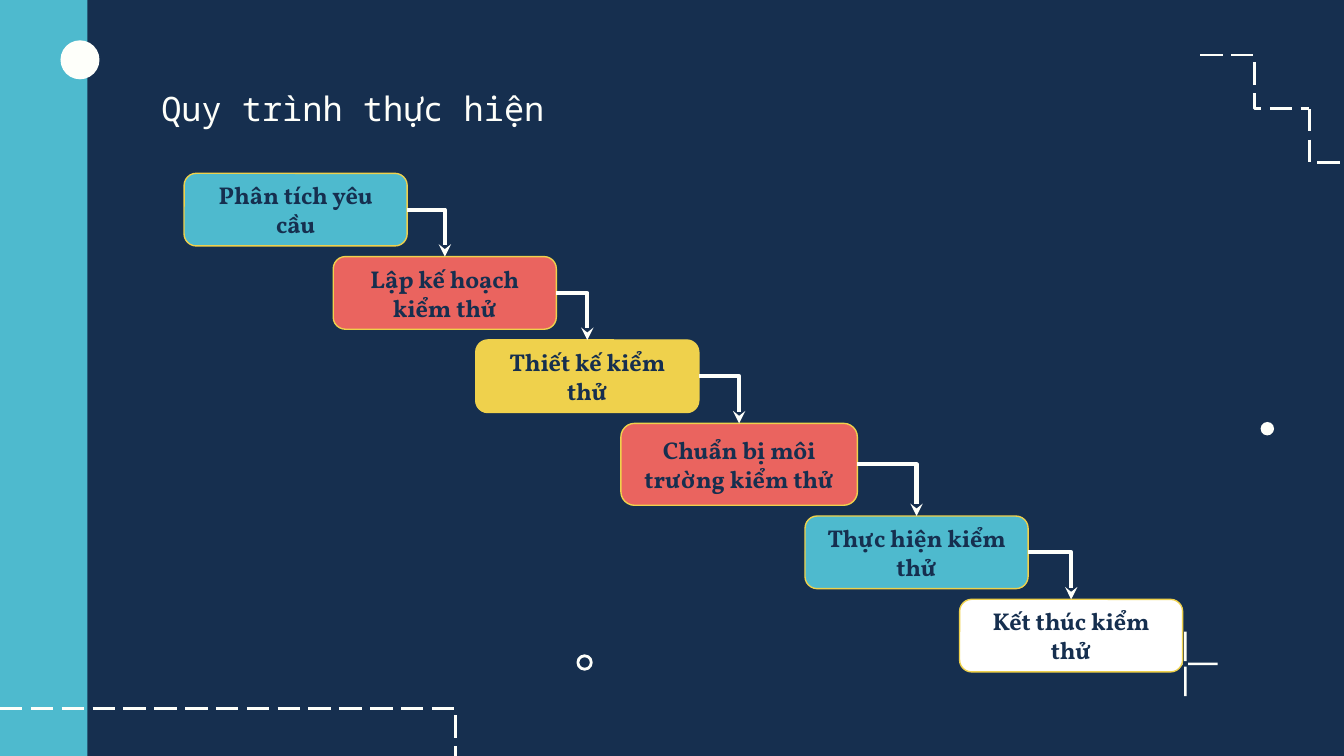
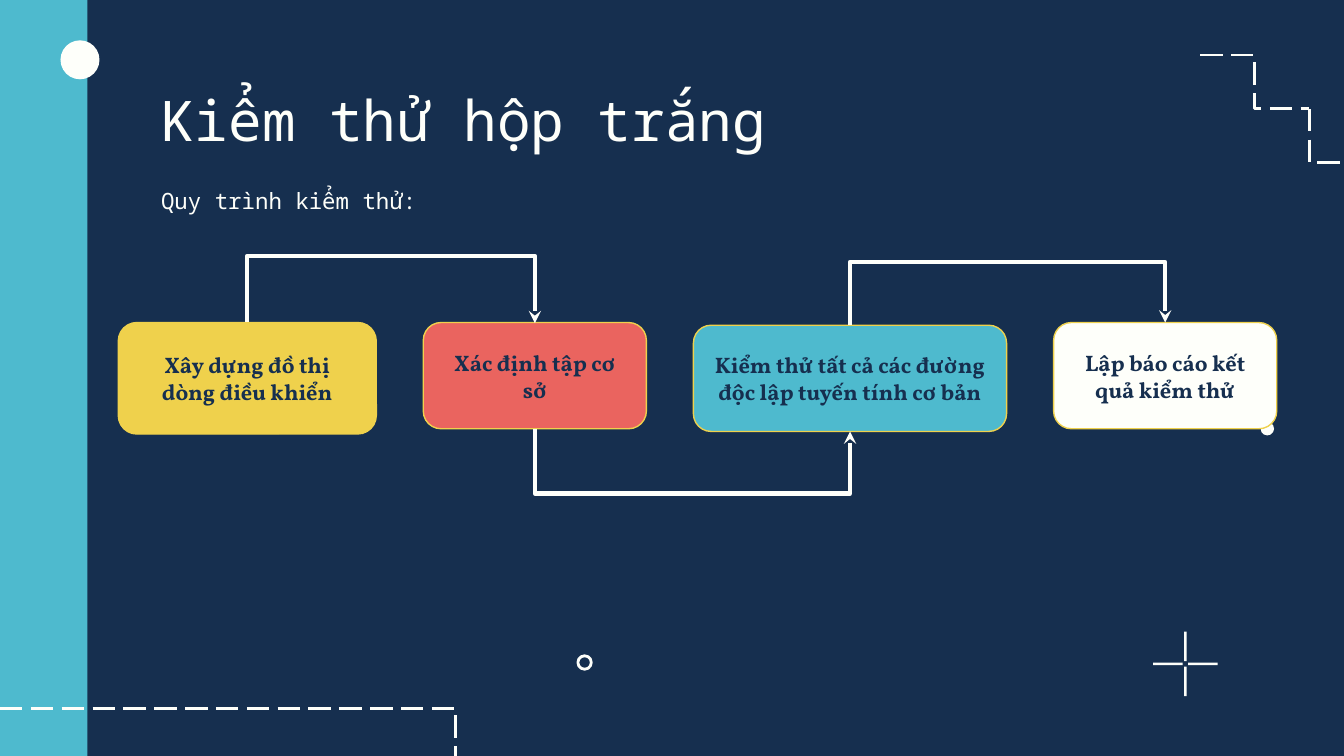
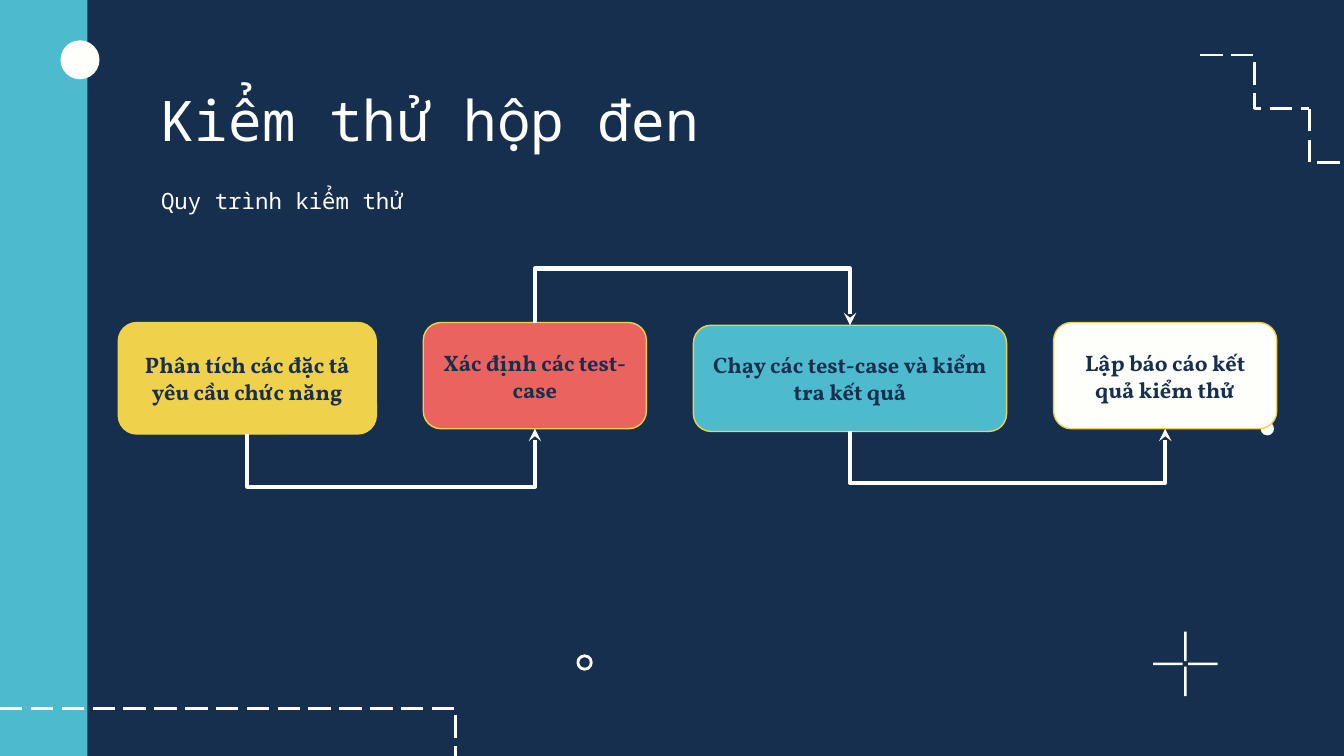
"""Build three slides on the software testing process."""
from itertools import pairwise

from lxml.etree import SubElement
from pptx import Presentation
from pptx.dml.color import RGBColor
from pptx.enum.dml import MSO_LINE_DASH_STYLE as Dash
from pptx.enum.shapes import MSO_CONNECTOR as Connector, MSO_SHAPE as Shape
from pptx.enum.text import MSO_ANCHOR as Anchor, MSO_AUTO_SIZE as AutoSize, PP_ALIGN as Align
from pptx.oxml.ns import qn
from pptx.util import Inches, Pt

COLORS = {
    "navy": "162F4F",
    "teal": "4EBACE",
    "coral": "EA645F",
    "yellow": "EFD14C",
    "cream": "FEFFFA",
    "white": "FFFFFF",
}
WIDTH = 10
HEIGHT = WIDTH * 9 / 16
MARGIN = 0.1
TITLE_FONT, BOX_FONT = "Noto Sans Mono", "Vollkorn"
TITLE_AREA = (1.1, 0.59, 8.12, 0.7)
SUBTITLE_AREA = (1.1, 1.29, 8.12, 0.43)
TOP, BOTTOM, RIGHT = 0, 2, 3

CASCADE_TITLE = "Quy trình thực hiện"
CASCADE_TOP, CASCADE_GAP = 1.29, 0.08
CASCADE_STEPS = [
    ("Phân tích yêu cầu", "teal", 1.37, 1.66, 0.54),
    ("Lập kế hoạch kiểm thử", "coral", 2.48, 1.66, 0.54),
    ("Thiết kế kiểm thử", "yellow", 3.54, 1.66, 0.54),
    ("Chuẩn bị môi trường kiểm thử", "coral", 4.62, 1.76, 0.61),
    ("Thực hiện kiểm thử", "teal", 5.99, 1.66, 0.54),
    ("Kết thúc kiểm thử", "white", 7.14, 1.66, 0.54),
]

ROW_LEFT, ROW_GAP = 0.88, 0.35
ROW_BOXES = [
    ("yellow", 2.4, 1.92, 0.83),
    ("coral", 2.4, 1.66, 0.79),
    ("teal", 2.42, 2.33, 0.79),
    ("cream", 2.4, 1.66, 0.79),
]
ROW_SLIDES = [
    {
        "title": "Kiểm thử hộp trắng",
        "subtitle": "Quy trình kiểm thử:",
        "steps": [
            "Xây dựng đồ thị dòng điều khiển",
            "Xác định tập cơ sở",
            "Kiểm thử tất cả các đường độc lập tuyến tính cơ bản",
            "Lập báo cáo kết quả kiểm thử",
        ],
        "arrows": [(TOP, 1.9), (BOTTOM, 3.67), (TOP, 1.95)],
    },
    {
        "title": "Kiểm thử hộp đen",
        "subtitle": "Quy trình kiểm thử",
        "steps": [
            "Phân tích các đặc tả yêu cầu chức năng",
            "Xác định các test-case",
            "Chạy các test-case và kiểm tra kết quả",
            "Lập báo cáo kết quả kiểm thử",
        ],
        "arrows": [(BOTTOM, 3.62), (TOP, 2), (BOTTOM, 3.59)],
    },
]
ROW_SLIDES[0]["arrows"][0] = (TOP, 1.9)

DOTS = [(0.45, 0.3, 0.29), (9.38, 3.14, 0.1)]
RING = (4.3, 4.88, 0.1, 0.1)
CROSS_CENTER, CROSS_REACH, CROSS_BAR, CROSS_THICK = (8.82, 4.94), 0.24, 0.22, 0.02


def color(name):
    return RGBColor.from_string(COLORS[name])


def lengths(*values):
    return [Inches(value) for value in values]


def add_figure(slide, kind, area, fill=None, line=None, weight=0.75):
    shape = slide.shapes.add_shape(kind, *lengths(*area))
    shape.shadow.inherit = False
    if fill:
        shape.fill.solid()
        shape.fill.fore_color.rgb = color(fill)
    else:
        shape.fill.background()
    if line:
        shape.line.color.rgb = color(line)
        shape.line.width = Pt(weight)
    else:
        shape.line.fill.background()
    return shape


def write(shape, text, font, anchor=Anchor.TOP, align=Align.LEFT, spacing=1.0):
    frame = shape.text_frame
    frame.text = text
    layout = {"word_wrap": True, "auto_size": AutoSize.NONE, "vertical_anchor": anchor}
    layout |= {f"margin_{side}": Inches(MARGIN) for side in ("left", "top", "right", "bottom")}
    for name, value in layout.items():
        setattr(frame, name, value)
    paragraph = frame.paragraphs[0]
    paragraph.alignment, paragraph.line_spacing = align, spacing
    run_font = paragraph.runs[0].font
    for name, value in font.items():
        if name == "color":
            run_font.color.rgb = color(value)
        else:
            setattr(run_font, name, value)


def heading_font(size):
    return {"name": TITLE_FONT, "size": Pt(size), "color": "cream", "bold": False}


def add_box(slide, text, fill, area, size):
    box = add_figure(slide, Shape.ROUNDED_RECTANGLE, area, fill, "yellow")
    font = {"name": BOX_FONT, "size": Pt(size), "color": "navy", "bold": True}
    write(box, text, font, Anchor.MIDDLE, Align.CENTER)
    return box


def add_elbow(slide, start, end, preset="bentConnector3", level=None, ends=None):
    """Draw an elbow; a level makes it leave vertically and turn at that height."""
    (x1, y1), (x2, y2) = start, end
    connector = slide.shapes.add_connector(Connector.ELBOW, *lengths(x1, y1, x2, y2))
    properties = connector._element.spPr
    geometry = properties.find(qn("a:prstGeom"))
    geometry.set("prst", preset)
    connector.line.color.rgb = color("cream")
    if ends:
        (first, first_site), (last, last_site) = ends
        connector.begin_connect(first, first_site)
        connector.end_connect(last, last_site)
        connector.line.width = Pt(2.25)
        SubElement(properties.find(qn("a:ln")), qn("a:tailEnd"), type="stealth")
    else:
        connector.line.width = Pt(1.5)
        connector.line.dash_style = Dash.LONG_DASH
    if level is not None:
        rise, run = max(abs(y2 - y1), 0.01), abs(x2 - x1)
        area = ((x1 + x2 - rise) / 2, (y1 + y2 - run) / 2, rise, run)
        for name, value in zip(("left", "top", "width", "height"), lengths(*area)):
            setattr(connector, name, value)
        transform = properties.find(qn("a:xfrm"))
        transform.attrib.pop("flipV", None)
        transform.set("rot", str(270 * 60000))
        transform.set("flipH", str(int(y2 >= y1)))
        turn = (level - y1) / rise * (1 if y2 >= y1 else -1)
        guides = geometry.find(qn("a:avLst"))
        SubElement(guides, qn("a:gd"), name="adj1", fmla=f"val {round(turn * 100000)}")
    SubElement(properties, qn("a:effectLst"))


def site_point(box, site):
    left, top, width, height = (value / Inches(1) for value in (box.left, box.top, box.width, box.height))
    return {
        TOP: (left + width / 2, top),
        BOTTOM: (left + width / 2, top + height),
        RIGHT: (left + width, top + height / 2),
    }[site]


def join(slide, first, first_site, last, last_site, **route):
    add_elbow(slide, site_point(first, first_site), site_point(last, last_site),
              ends=((first, first_site), (last, last_site)), **route)


def add_decoration(slide):
    add_figure(slide, Shape.RECTANGLE, (0, 0, 0.65, HEIGHT), "teal")
    add_elbow(slide, (8.93, 0.41), (9.74, 0.81))
    add_elbow(slide, (9.74, 0.81), (10.15, 1.62), level=1.21)
    add_elbow(slide, (0, 5.27), (3.39, HEIGHT), preset="bentConnector2")
    for left, top, size in DOTS:
        add_figure(slide, Shape.OVAL, (left, top, size, size), "cream")
    add_figure(slide, Shape.OVAL, RING, line="cream", weight=1.5)
    x, y = CROSS_CENTER
    half = CROSS_THICK / 2
    for offset in (-CROSS_REACH, CROSS_REACH - CROSS_BAR):
        add_figure(slide, Shape.RECTANGLE, (x - half, y + offset, CROSS_THICK, CROSS_BAR), "cream")
        add_figure(slide, Shape.RECTANGLE, (x + offset, y - half, CROSS_BAR, CROSS_THICK), "cream")


def add_slide(presentation, title_text, size):
    slide = presentation.slides.add_slide(presentation.slide_layouts[5])
    slide.background.fill.solid()
    slide.background.fill.fore_color.rgb = color("navy")
    add_decoration(slide)
    title = slide.shapes.title
    for name, value in zip(("left", "top", "width", "height"), lengths(*TITLE_AREA)):
        setattr(title, name, value)
    write(title, title_text, heading_font(size), spacing=0.9)
    return slide


def add_cascade_slide(presentation):
    slide = add_slide(presentation, CASCADE_TITLE, 18)
    boxes, top = [], CASCADE_TOP
    for text, fill, left, width, height in CASCADE_STEPS:
        boxes.append(add_box(slide, text, fill, (left, top, width, height), 13))
        top += height + CASCADE_GAP
    for first, last in pairwise(boxes):
        join(slide, first, RIGHT, last, TOP, preset="bentConnector2")


def add_row_slide(presentation, content):
    slide = add_slide(presentation, content["title"], 30)
    subtitle = slide.shapes.add_textbox(*lengths(*SUBTITLE_AREA))
    write(subtitle, content["subtitle"], heading_font(12))
    boxes, left = [], ROW_LEFT
    for text, (fill, top, width, height) in zip(content["steps"], ROW_BOXES):
        boxes.append(add_box(slide, text, fill, (left, top, width, height), 12))
        left += width + ROW_GAP
    for (first, last), (site, level) in zip(pairwise(boxes), content["arrows"]):
        join(slide, first, site, last, site, level=level)


def main():
    presentation = Presentation()
    presentation.slide_width, presentation.slide_height = lengths(WIDTH, HEIGHT)
    add_cascade_slide(presentation)
    for content in ROW_SLIDES:
        add_row_slide(presentation, content)
    presentation.save("out.pptx")


if __name__ == "__main__":
    main()
